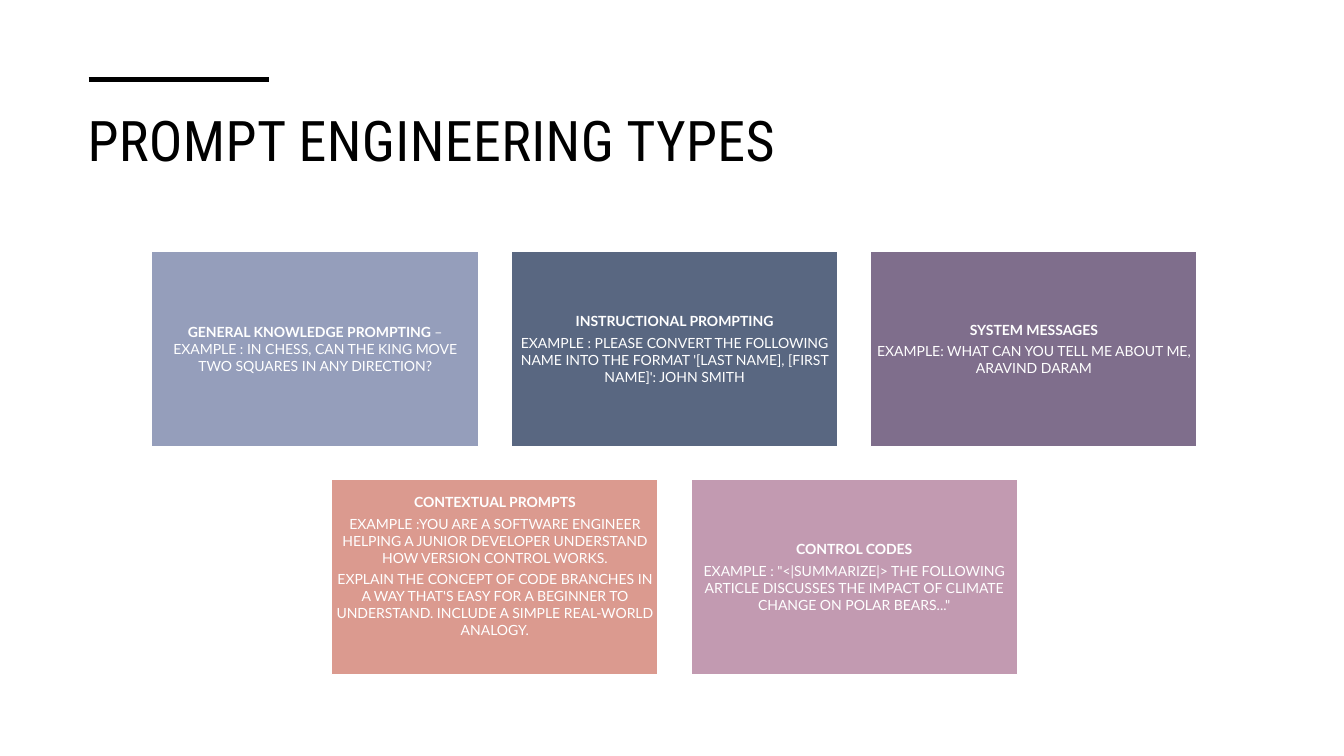
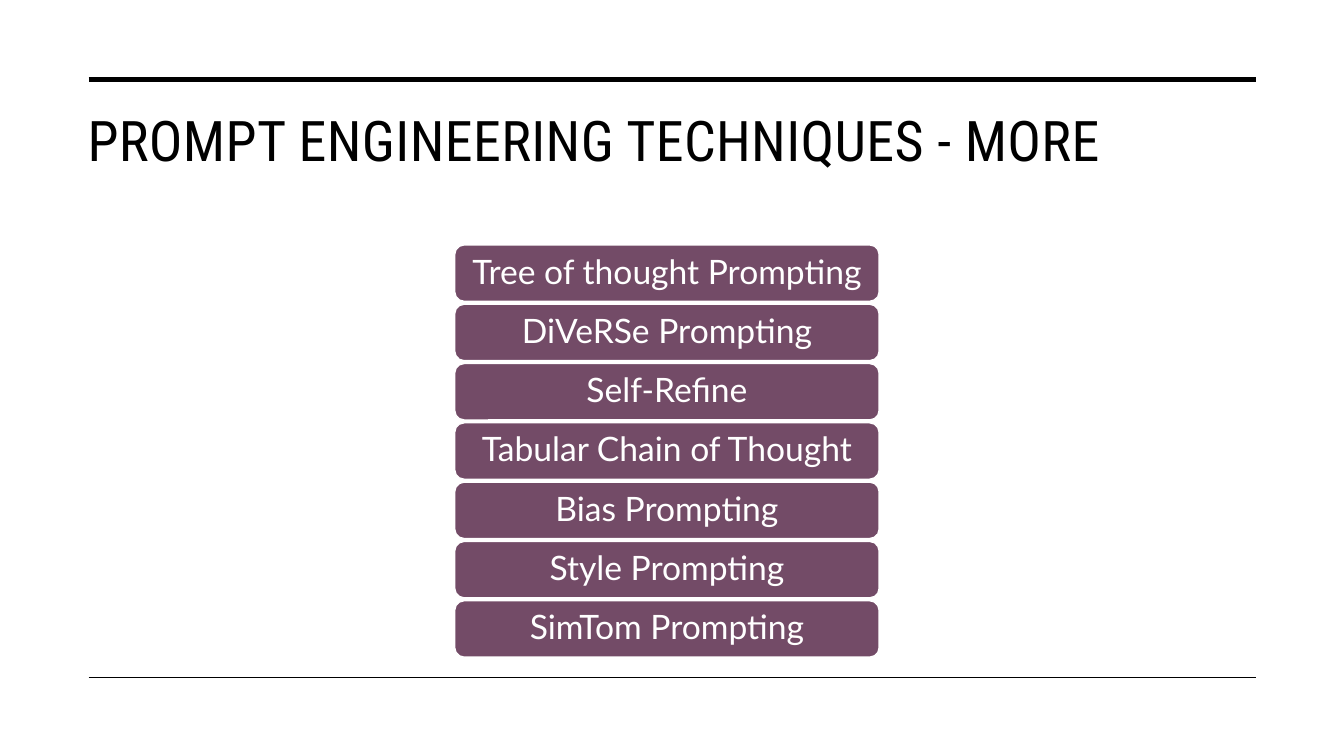
from pptx import Presentation
from pptx.dml.color import RGBColor
from pptx.enum.shapes import MSO_CONNECTOR, MSO_SHAPE
from pptx.enum.text import MSO_ANCHOR, PP_ALIGN
from pptx.oxml.ns import qn
from pptx.util import Inches, Pt
from lxml import etree

BLACK = RGBColor(0x00, 0x00, 0x00)
WHITE = RGBColor(0xFF, 0xFF, 0xFF)
PERIWINKLE = RGBColor(0x95, 0x9E, 0xBB)
SLATE = RGBColor(0x59, 0x67, 0x81)
VIOLET = RGBColor(0x7F, 0x6E, 0x8C)
CORAL = RGBColor(0xDB, 0x9A, 0x8F)
MAUVE = RGBColor(0xC2, 0x9A, 0xB1)
PLUM = RGBColor(0x73, 0x4B, 0x67)

LEFT, RIGHT = 0.88, 12.46
TOP_RULE, BOTTOM_RULE = 0.79, 6.72

CARD_W, CARD_H = 3.24, 1.94
CARD_GAP = CARD_W * 0.1
CARDS_CENTER, CARDS_TOP = 6.69, 2.49
CARD_INSET = 0.04

BAR_LEFT, BAR_W, BAR_H = 4.51, 4.21, 0.56
BARS_TOP, LAST_BAR_TOP = 2.43, 5.96

CARD_ROWS = [
    [
        (PERIWINKLE, CARD_INSET, [
            [("GENERAL KNOWLEDGE PROMPTING ", True),
             ("– EXAMPLE : IN CHESS, CAN THE KING MOVE TWO SQUARES IN ANY DIRECTION?", False)],
        ]),
        (SLATE, CARD_INSET, [
            [("INSTRUCTIONAL PROMPTING", True)],
            [("EXAMPLE : PLEASE CONVERT THE FOLLOWING NAME INTO THE FORMAT "
              "'[LAST NAME], [FIRST NAME]': JOHN SMITH", False)],
        ]),
        (VIOLET, CARD_INSET, [
            [("SYSTEM MESSAGES", True)],
            [("EXAMPLE: WHAT CAN YOU TELL ME ABOUT ME, ARAVIND DARAM", False)],
        ]),
    ],
    [
        (CORAL, 0.26, [
            [("CONTEXTUAL PROMPTS", True)],
            [("EXAMPLE :YOU ARE A SOFTWARE ENGINEER HELPING A JUNIOR DEVELOPER "
              "UNDERSTAND HOW VERSION CONTROL WORKS.", False)],
            [("EXPLAIN THE CONCEPT OF CODE BRANCHES IN A WAY THAT'S EASY FOR A BEGINNER "
              "TO UNDERSTAND. INCLUDE A SIMPLE REAL-WORLD ANALOGY.", False)],
        ]),
        (MAUVE, CARD_INSET, [
            [("CONTROL CODES", True)],
            [('EXAMPLE : "<|SUMMARIZE|> THE FOLLOWING ARTICLE DISCUSSES THE IMPACT '
              'OF CLIMATE CHANGE ON POLAR BEARS..."', False)],
        ]),
    ],
]

TECHNIQUES = [
    "Tree of thought Prompting",
    "DiVeRSe Prompting",
    "Self-Refine",
    "Tabular Chain of Thought",
    "Bias Prompting",
    "Style Prompting",
    "SimTom Prompting",
]


class Deck:
    """Holds the deck style and the current slide."""

    title_font = {"name": "Roboto Condensed", "size": Pt(40)}
    card_font = {"name": "Lato", "size": Pt(10)}
    bar_font = {"name": "Lato", "size": Pt(24)}
    card_para = {"alignment": PP_ALIGN.CENTER, "space_after": Pt(3.5)}
    bar_para = {"alignment": PP_ALIGN.CENTER, "line_spacing": 0.9}

    def __init__(self):
        self.prs = Presentation()
        self.prs.slide_width = Inches(13.33)
        self.prs.slide_height = Inches(7.5)

    def set_format(self, obj, values):
        for name, value in values.items():
            setattr(obj, name, value)

    def add_run(self, p, text, font, color):
        r = p.add_run()
        r.text = text
        self.set_format(r.font, font)
        r.font.color.rgb = color
        return r

    def new_slide(self, title, rule_end):
        self.s = self.prs.slides.add_slide(self.prs.slide_layouts[6])
        self.rule(TOP_RULE, rule_end, 3.5)
        self.title(title)

    def title(self, text):
        sp = self.s.shapes.add_textbox(Inches(0.77), Inches(1), Inches(11.7), Inches(1.15))
        tf = sp.text_frame
        tf.word_wrap = True
        r = self.add_run(tf.paragraphs[0], text, self.title_font, BLACK)
        r.font._element.set("spc", "30")

    def rule(self, y, end, width):
        line = self.s.shapes.add_connector(
            MSO_CONNECTOR.STRAIGHT, Inches(LEFT), Inches(y), Inches(end), Inches(y))
        line.line.color.rgb = BLACK
        line.line.width = Pt(width)
        etree.SubElement(line._element.spPr, qn("a:effectLst"))

    def box(self, kind, x, y, w, h, fill):
        sp = self.s.shapes.add_shape(kind, Inches(x), Inches(y), Inches(w), Inches(h))
        sp.shadow.inherit = False
        sp.fill.solid()
        sp.fill.fore_color.rgb = fill
        sp.line.color.rgb = WHITE
        sp.line.width = Pt(1)
        tf = sp.text_frame
        self.set_format(tf, {"word_wrap": True, "vertical_anchor": MSO_ANCHOR.MIDDLE})
        return tf

    def card(self, x, y, fill, bottom_inset, paragraphs):
        tf = self.box(MSO_SHAPE.RECTANGLE, x, y, CARD_W, CARD_H, fill)
        inset = Inches(CARD_INSET)
        self.set_format(tf, {"margin_left": inset, "margin_right": inset,
                             "margin_top": inset, "margin_bottom": Inches(bottom_inset)})
        for i, runs in enumerate(paragraphs):
            p = tf.add_paragraph() if i else tf.paragraphs[0]
            self.set_format(p, self.card_para)
            for text, bold in runs:
                self.add_run(p, text, {**self.card_font, "bold": bold}, WHITE)

    def bar(self, y, text):
        tf = self.box(MSO_SHAPE.ROUNDED_RECTANGLE, BAR_LEFT, y, BAR_W, BAR_H, PLUM)
        p = tf.paragraphs[0]
        self.set_format(p, self.bar_para)
        self.add_run(p, text, self.bar_font, WHITE)


def main():
    deck = Deck()

    deck.new_slide("PROMPT ENGINEERING TYPES", 2.67)
    for row, cards in enumerate(CARD_ROWS):
        y = CARDS_TOP + row * (CARD_H + CARD_GAP)
        row_w = len(cards) * (CARD_W + CARD_GAP) - CARD_GAP
        for col, card in enumerate(cards):
            x = CARDS_CENTER - row_w / 2 + col * (CARD_W + CARD_GAP)
            deck.card(x, y, *card)

    deck.new_slide("PROMPT ENGINEERING TECHNIQUES - MORE", RIGHT)
    deck.rule(BOTTOM_RULE, RIGHT, 1)
    pitch = (LAST_BAR_TOP - BARS_TOP) / (len(TECHNIQUES) - 1)
    for i, technique in enumerate(TECHNIQUES):
        deck.bar(BARS_TOP + i * pitch, technique)

    deck.prs.save("out.pptx")


if __name__ == "__main__":
    main()
